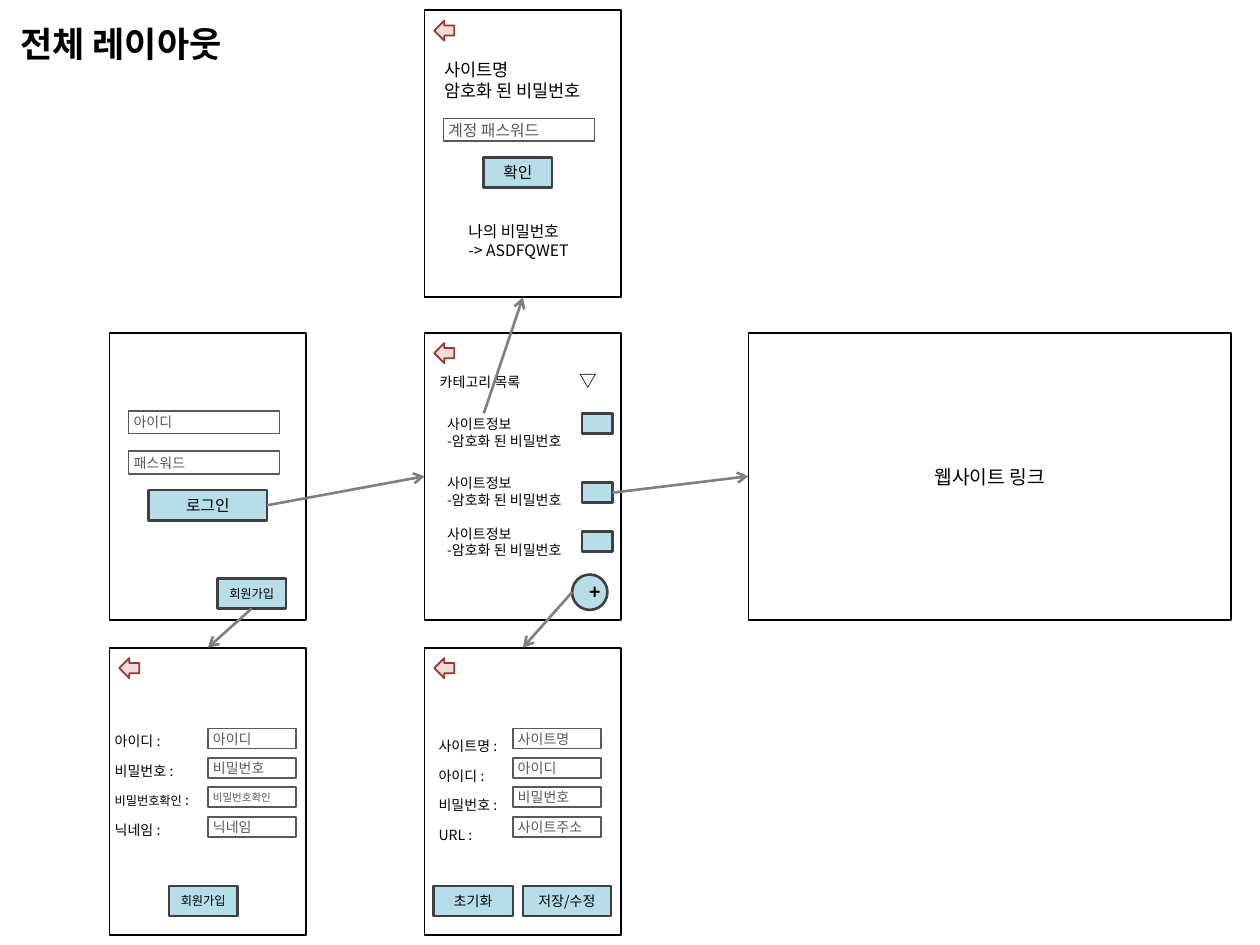
from lxml.etree import SubElement
from pptx import Presentation
from pptx.dml.color import RGBColor
from pptx.enum.shapes import MSO_CONNECTOR, MSO_SHAPE
from pptx.enum.text import MSO_ANCHOR, MSO_AUTO_SIZE, PP_ALIGN
from pptx.oxml.ns import qn
from pptx.util import Pt

FONT = "Noto Sans CJK KR"
COLORS = {
    "black": "000000",
    "field": "595959",
    "button": "B7DEE8",
    "border": "404040",
    "arrow": "808080",
    "back": "F2DCDB",
    "back_line": "953735",
}
LEFT_X, MID_X, WEB_X = 62.64, 242.64, 427.68
TOP_Y, MID_Y, LOW_Y = 5.76, 190.08, 370.08
PANEL_W, PANEL_H = 112.32, 164.16
ROW_Y, ROW_STEP = 416.3, 16.8


def color(name):
    return RGBColor.from_string(COLORS[name])


def write(tf, paragraphs, size, name="black", bold=False, align=PP_ALIGN.LEFT, spacing=None):
    for i, parts in enumerate(paragraphs):
        p = tf.paragraphs[0] if i == 0 else tf.add_paragraph()
        p.alignment = align
        if spacing:
            p.line_spacing = Pt(spacing)
        if isinstance(parts, str):
            parts = [(parts, size, bold)]
        for text, run_size, run_bold in parts:
            r = p.add_run()
            r.text = text
            r.font.size = Pt(run_size)
            r.font.bold = run_bold
            r.font.name = FONT
            r.font.color.rgb = color(name)
            SubElement(r.font._element, qn("a:ea"), typeface=FONT)


def set_margins(tf, left, right):
    tf.margin_left, tf.margin_right = Pt(left), Pt(right)
    tf.margin_top = tf.margin_bottom = Pt(3.6)


def add_box(s, kind, x, y, w, h, line, width, fill=None):
    sp = s.shapes.add_shape(kind, Pt(x), Pt(y), Pt(w), Pt(h))
    sp.shadow.inherit = False
    if fill:
        sp.fill.solid()
        sp.fill.fore_color.rgb = color(fill)
    else:
        sp.fill.background()
    sp.line.color.rgb = color(line)
    sp.line.width = Pt(width)
    sp.text_frame.vertical_anchor = MSO_ANCHOR.MIDDLE
    return sp


def add_panel(s, x, y, w=PANEL_W):
    return add_box(s, MSO_SHAPE.RECTANGLE, x, y, w, PANEL_H, "black", 1)


def add_back_arrow(s, x, y):
    add_box(s, MSO_SHAPE.LEFT_ARROW, x + 5.5, y + 6, 11.5, 11.5, "back_line", 1, "back")


def add_field(s, text, x, y, w=86.4, h=13, size=8):
    sp = add_box(s, MSO_SHAPE.RECTANGLE, x, y, w, h, "field", 1)
    set_margins(sp.text_frame, 2.9, 7.2)
    write(sp.text_frame, [text], size, "field")


def add_field_column(s, x, fields):
    for i, (text, size) in enumerate(fields):
        add_field(s, text, x, ROW_Y + i * ROW_STEP, 50.4, 11.5, size)


def add_button(s, text, x, y, w, h=17.3, size=8, kind=MSO_SHAPE.RECTANGLE, bold=False, inset=0):
    sp = add_box(s, kind, x, y, w, h, "border", 1.5, "button")
    set_margins(sp.text_frame, inset, inset)
    if text:
        write(sp.text_frame, [text], size, bold=bold, align=PP_ALIGN.CENTER)
    return sp


def add_text(s, paragraphs, x, y, w, h, size, left=7.2, right=7.2, wrap=True, spacing=None):
    tf = s.shapes.add_textbox(Pt(x), Pt(y), Pt(w), Pt(h)).text_frame
    tf.word_wrap = wrap
    tf.auto_size = MSO_AUTO_SIZE.SHAPE_TO_FIT_TEXT
    set_margins(tf, left, right)
    write(tf, paragraphs, size, spacing=spacing)
    return tf


def add_link(s, start, target, side, start_side=None):
    x, y = (0, 0) if start_side is not None else start
    c = s.shapes.add_connector(MSO_CONNECTOR.STRAIGHT, Pt(x), Pt(y), Pt(x), Pt(y))
    if start_side is not None:
        c.begin_connect(start, start_side)
    c.end_connect(target, side)
    c.line.color.rgb = color("arrow")
    c.line.width = Pt(1.5)
    SubElement(c.line._get_or_add_ln(), qn("a:tailEnd"), type="arrow")
    SubElement(c._element.spPr, qn("a:effectLst"))


def add_title(s, text):
    sp = s.shapes.title
    sp.left, sp.top, sp.width, sp.height = Pt(8.64), Pt(9.36), Pt(163.4), Pt(31.7)
    tf = sp.text_frame
    tf.word_wrap = True
    tf.auto_size = MSO_AUTO_SIZE.NONE
    tf.vertical_anchor = MSO_ANCHOR.TOP
    set_margins(tf, 2.9, 2.9)
    write(tf, [text], 20, bold=True)


def add_login(s):
    panel = add_panel(s, LEFT_X, MID_Y)
    add_field(s, "아이디", 73.44, 234.7)
    add_field(s, "패스워드", 73.44, 257.8)
    login = add_button(s, "로그인", 84.96, 280.1, 67.7, size=9)
    join = add_button(s, "회원가입", 124.2, 330.5, 39.2, size=7)
    return panel, login, join


def add_signup(s):
    panel = add_panel(s, LEFT_X, LOW_Y)
    add_back_arrow(s, LEFT_X, LOW_Y)
    labels = ["아이디 :", "비밀번호 :", [("비밀번호확인", 7, False), (" :", 8, False)], "닉네임 :"]
    add_text(s, labels, LEFT_X, 407.5, 56.2, 75.6, 8, left=2.9, spacing=17)
    add_field_column(s, 118.8, [("아이디", 8), ("비밀번호", 8), ("비밀번호확인", 6), ("닉네임", 8)])
    add_button(s, "회원가입", 96.5, 506.2, 39.2, size=7)
    return panel


def add_site_list(s):
    panel = add_panel(s, MID_X, MID_Y)
    add_back_arrow(s, MID_X, MID_Y)
    heading = [("카테고리 목록\t", 8, False), ("▽", 10, True)]
    tf = add_text(s, [heading], 248.4, 208.1, 103.7, 19.4, 8, left=2.9, right=2.9)
    tabs = SubElement(tf.paragraphs[0]._p.get_or_add_pPr(), qn("a:tabLst"))
    SubElement(tabs, qn("a:tab"), pos=str(Pt(80)), algn="l")
    links = []
    for text_y, button_y in ((234, 236.2), (267.8, 275.8), (296.6, 303.8)):
        add_text(s, ["사이트정보", "-암호화 된 비밀번호"], 248.4, text_y, 103.7, 36, 8)
        links.append(add_button(s, "", 332.6, button_y, 17.3, 11.5))
    add_button(s, "+", 326.9, 328.3, 20.2, 20.2, 11, MSO_SHAPE.OVAL, True, 7.2)
    return panel, links


def add_site_form(s):
    panel = add_panel(s, MID_X, LOW_Y)
    add_back_arrow(s, MID_X, LOW_Y)
    labels = ["사이트명 :", "아이디 :", "비밀번호 :", "URL :"]
    add_text(s, labels, 250.6, 410.4, 36.7, 73.4, 8, 0, 0, False, 17)
    add_field_column(s, 293, [("사이트명", 8), ("아이디", 8), ("비밀번호", 8), ("사이트주소", 8)])
    add_button(s, "초기화", 247.7, 506.2, 45.4)
    add_button(s, "저장/수정", 298.8, 506.2, 50.4)
    return panel


def add_decrypt(s):
    panel = add_panel(s, MID_X, TOP_Y)
    add_back_arrow(s, MID_X, TOP_Y)
    add_text(s, ["사이트명", "암호화 된 비밀번호"], 247, 30.2, 102.2, 31.7, 10, wrap=False)
    add_field(s, "계정 패스워드", 253.4, 67.7, size=9)
    add_button(s, "확인", 276.5, 90, 38.9, size=9)
    add_text(s, ["나의 비밀번호", "-> ASDFQWET"], 260.6, 123.1, 77, 28.8, 9, wrap=False)
    return panel


def main():
    prs = Presentation()
    prs.slide_width, prs.slide_height = Pt(720), Pt(540)
    s = prs.slides.add_slide(prs.slide_layouts[5])
    add_title(s, "전체 레이아웃")
    login_panel, login, join = add_login(s)
    signup = add_signup(s)
    site_list, links = add_site_list(s)
    site_form = add_site_form(s)
    decrypt = add_decrypt(s)
    website = add_panel(s, WEB_X, MID_Y, 275.8)
    write(website.text_frame, ["웹사이트 링크"], 11, align=PP_ALIGN.CENTER)
    add_link(s, join, signup, 0, 2)
    add_link(s, login, site_list, 1, 3)
    add_link(s, links[1], website, 1, 3)
    add_link(s, (326.9, 338.4), site_form, 0)
    add_link(s, (276.5, 236.2), decrypt, 2)
    prs.save("out.pptx")


if __name__ == "__main__":
    main()
